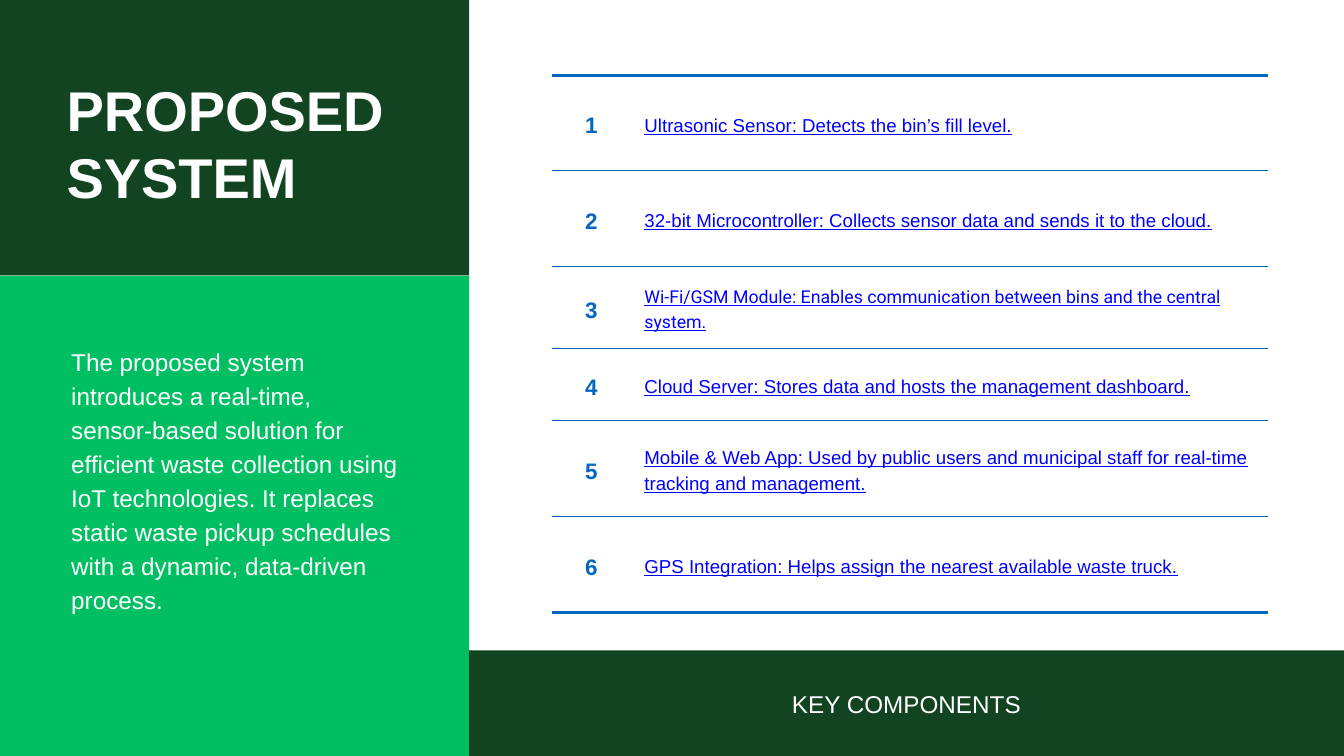
import lxml.etree
import pptx
import pptx.util
import pptx.dml.color
import pptx.enum.shapes
import pptx.enum.text
import pptx.oxml.ns
from dataclasses import dataclass

ALIGN = pptx.enum.text.PP_ALIGN


@dataclass(frozen=True)
class Theme:
    dark: str = "124422"
    green: str = "00BF63"
    blue: str = "0366BF"
    link: str = "0000FF"
    white: str = "FFFFFF"
    font: str = "Arial"
    alt: str = "Roboto"
    title: int = 60
    body: int = 26
    num: int = 24
    item: int = 20
    small: int = 19
    thin: float = 0.75
    thick: float = 3.75


T = Theme()

# Row height, text, font, size
ROWS = [
    (142, "Ultrasonic Sensor: Detects the bin’s fill level.", T.font, T.item),
    (143, "32-bit Microcontroller: Collects sensor data and sends it to the cloud.",
     T.font, T.item),
    (122, "Wi-Fi/GSM Module: Enables communication between bins and the central system.",
     T.alt, T.small),
    (107, "Cloud Server: Stores data and hosts the management dashboard.",
     T.font, T.item),
    (143, "Mobile & Web App: Used by public users and municipal staff for real-time "
     "tracking and management.", T.font, T.item),
    (142, "GPS Integration: Helps assign the nearest available waste truck.",
     T.font, T.item),
]


def px(n):
    """Turn px (100 to the inch) into EMU."""
    return pptx.util.Emu(n * 9144)


def rgb(code):
    return pptx.dml.color.RGBColor.from_string(code)


def write(frame, text, size, color=T.white, font=T.font, bold=False,
          under=False, align=ALIGN.LEFT, lead=1.4, pad=0):
    frame.word_wrap = True
    frame.margin_left = frame.margin_right = px(pad)
    frame.margin_top = frame.margin_bottom = px(pad)
    para = frame.paragraphs[0]
    para.alignment = align
    para.line_spacing = pptx.util.Pt(size * lead)
    run = para.add_run()
    run.text = text
    run.font.name = font
    run.font.size = pptx.util.Pt(size)
    run.font.bold = bold
    run.font.underline = under
    run.font.color.rgb = rgb(color)


def panel(slide, box, color):
    kind = pptx.enum.shapes.MSO_SHAPE.RECTANGLE
    shape = slide.shapes.add_shape(kind, *map(px, box))
    shape.shadow.inherit = False
    shape.fill.solid()
    shape.fill.fore_color.rgb = rgb(color)
    shape.line.fill.background()


def label(slide, box, text, size, **style):
    shape = slide.shapes.add_textbox(*map(px, box))
    write(shape.text_frame, text, size, **style)


def rule(cell, top, bottom):
    """Draw the lines above and below a cell, and none at its sides."""
    qn = pptx.oxml.ns.qn
    props = cell._tc.get_or_add_tcPr()
    for side, width in (("L", 0), ("R", 0), ("T", top), ("B", bottom)):
        line = lxml.etree.SubElement(props, qn(f"a:ln{side}"),
                                     w=str(int(width * 12700)))
        if width:
            fill = lxml.etree.SubElement(line, qn("a:solidFill"))
            lxml.etree.SubElement(fill, qn("a:srgbClr"), val=T.blue)
        else:
            lxml.etree.SubElement(line, qn("a:noFill"))


def head(slide, box):
    x, y, w, h = box
    panel(slide, box, T.dark)
    label(slide, (x + 99, y + 112, 500, 200), "PROPOSED SYSTEM", T.title,
          bold=True, lead=1.2)


def intro(slide, box):
    x, y, w, h = box
    panel(slide, box, T.green)
    label(slide, (x + 106, y + 100, 487, 399),
          "The proposed system introduces a real-time, sensor-based solution "
          "for efficient waste collection using IoT technologies. It replaces "
          "static waste pickup schedules with a dynamic, data-driven process.",
          T.body)


def parts(slide, box):
    x, y, w, h = box
    high = sum(row[0] for row in ROWS)
    frame = slide.shapes.add_table(len(ROWS), 2, px(x + 124), px(y + 112),
                                   px(1065), px(high))
    table = frame.table
    table.first_row = table.horz_banding = False
    for col, wide in zip(table.columns, (116, 949)):
        col.width = px(wide)
    last = len(ROWS) - 1
    for i, (tall, text, font, size) in enumerate(ROWS):
        table.rows[i].height = px(tall)
        num, item = table.cell(i, 0), table.cell(i, 1)
        for cell in (num, item):
            rule(cell, T.thick if i == 0 else T.thin,
                 T.thick if i == last else T.thin)
            cell.fill.background()
            cell.vertical_anchor = pptx.enum.text.MSO_ANCHOR.MIDDLE
            cell.margin_left = cell.margin_right = px(21)
            cell.margin_top = cell.margin_bottom = px(21)
        write(num.text_frame, str(i + 1), T.num, color=T.blue, bold=True,
              align=ALIGN.CENTER, pad=21)
        write(item.text_frame, text, size, color=T.link, font=font,
              under=True, pad=21)


def foot(slide, box):
    x, y, w, h = box
    panel(slide, box, T.dark)
    label(slide, (x + 157, y + 51, 988, 49), "KEY COMPONENTS", T.body,
          align=ALIGN.CENTER)


def main():
    deck = pptx.Presentation()
    deck.slide_width, deck.slide_height = px(2000), px(1125)
    slide = deck.slides.add_slide(deck.slide_layouts[6])
    # Left column
    head(slide, (0, 0, 698, 410))
    intro(slide, (0, 410, 698, 715))
    # Right column
    foot(slide, (698, 968, 1302, 157))
    parts(slide, (698, 0, 1302, 968))
    deck.save("out.pptx")


if __name__ == "__main__":
    main()
